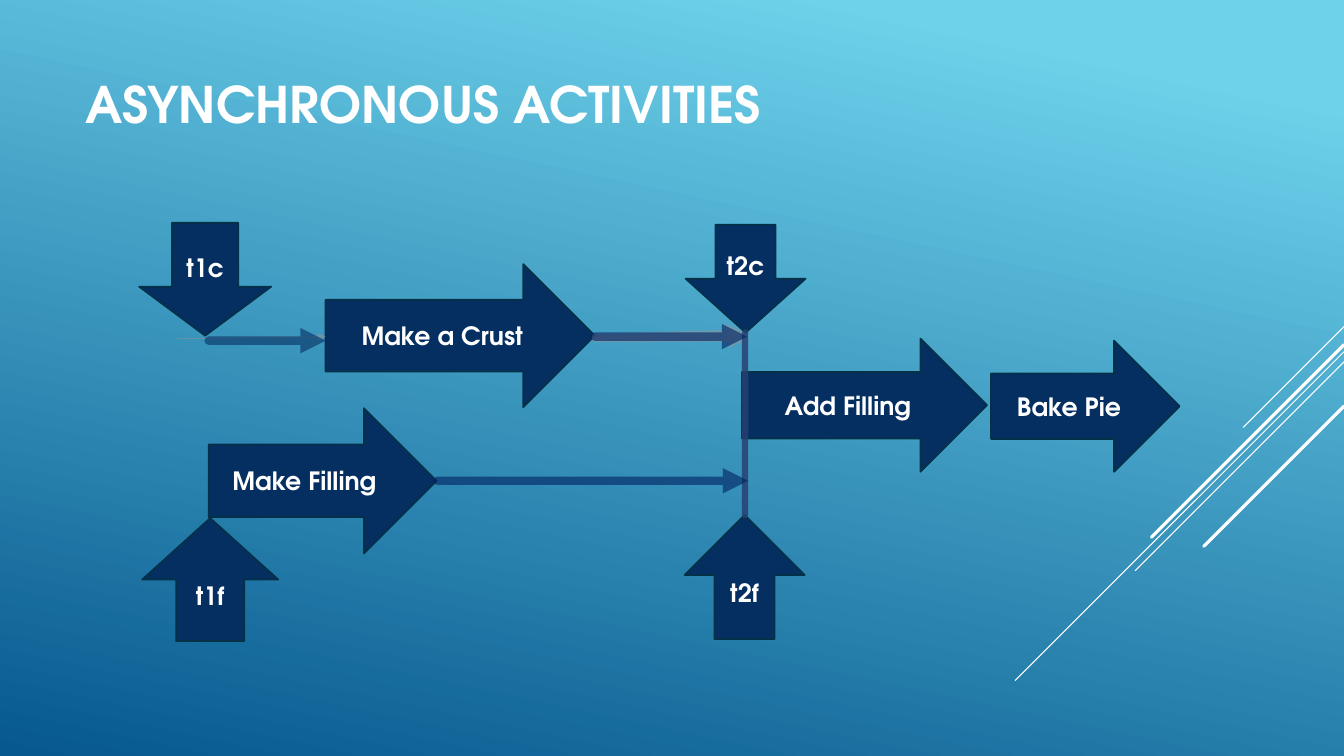
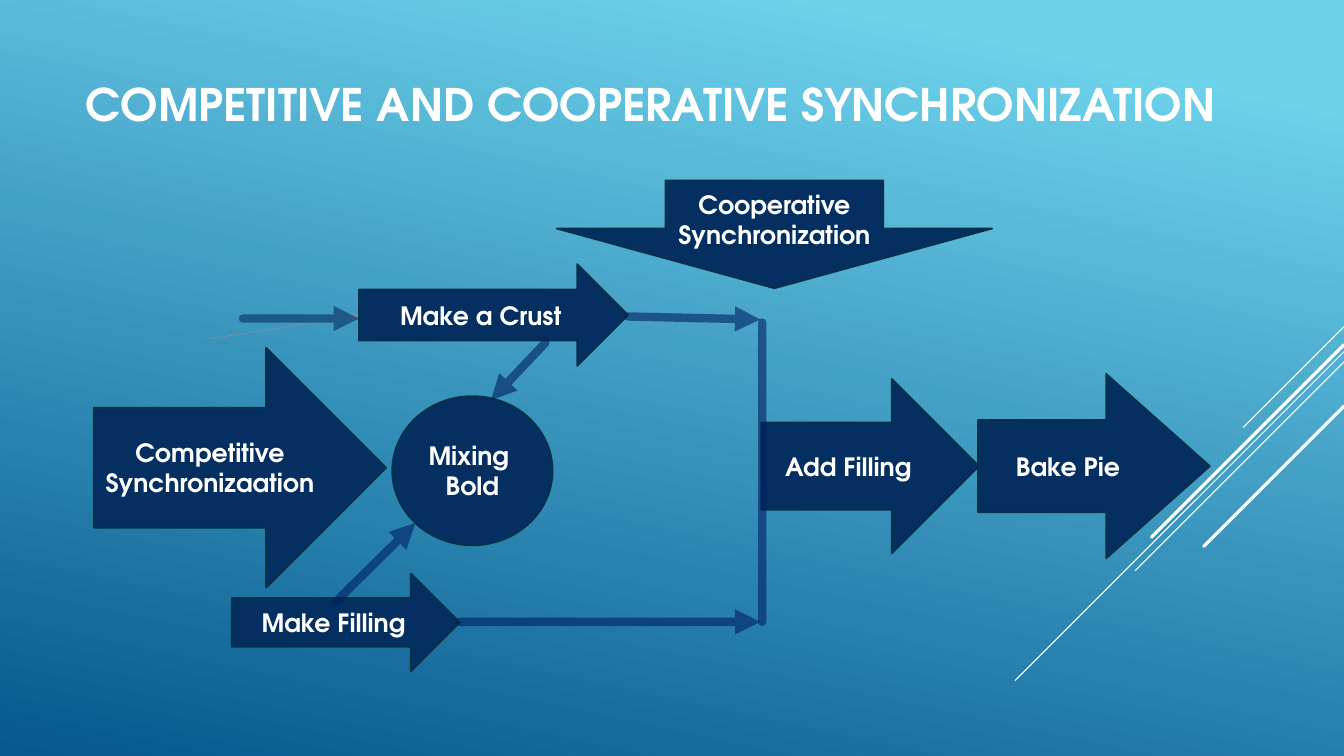
from collections import namedtuple

from pptx import Presentation
from pptx.dml.color import RGBColor
from pptx.enum.shapes import MSO_CONNECTOR, MSO_SHAPE
from pptx.enum.text import MSO_ANCHOR, PP_ALIGN
from pptx.oxml.ns import qn
from pptx.util import Inches, Pt
from lxml import etree

STRAIGHT = MSO_CONNECTOR.STRAIGHT
RIGHT, DOWN, UP = MSO_SHAPE.RIGHT_ARROW, MSO_SHAPE.DOWN_ARROW, MSO_SHAPE.UP_ARROW
OVAL, ROUNDED = MSO_SHAPE.OVAL, MSO_SHAPE.ROUNDED_RECTANGLE
MIDDLE = MSO_ANCHOR.MIDDLE
LEFT_ALIGN, CENTER = PP_ALIGN.LEFT, PP_ALIGN.CENTER

FONT = "TeX Gyre Adventor"
WHITE, NAVY, EDGE = "FFFFFF", "052F61", "043148"
INK, GREY = "002060", "89919C"
BACKDROP = [(0.1, "6ED2EB"), (1, "06588E")]
LINK_ALPHA = 60

Box = namedtuple("Box", "left top width height")
Step = namedtuple("Step", "kind box text head", defaults=("", None))
Link = namedtuple("Link", "start end color weight arrow", defaults=(INK, 6, True))

TITLE_BOX = Box(0.75, 0, 11.8, 2.06)
DIAGRAM_BOX = Box(0.5, 1.5, 12, 5.5)
CORNER_BOX = Box(10.07, 3.24, 3.26, 3.51)
CORNER_LINES = [(0, 1, 0.75), (0.25, 3.26, 0.75), (0.35, 2.07, 0.75),
                (0.18, 1.91, 2.25), (0.79, 1.39, 2.25)]

ASYNC_STEPS = [
    Step(DOWN, Box(0.88, 0.71, 1.31, 1.12), "t1c", 0.434),
    Step(UP, Box(0.91, 3.64, 1.35, 1.22), "t1f"),
    Step(RIGHT, Box(1.57, 2.55, 2.26, 1.44), "Make Filling"),
    Step(RIGHT, Box(2.73, 1.12, 2.67, 1.42), "Make a Crust"),
    Step(DOWN, Box(6.3, 0.73, 1.19, 1.07), "t2c"),
    Step(ROUNDED, Box(6.86, 2.67, 0.05, 0.05)),
    Step(UP, Box(6.29, 3.61, 1.19, 1.23), "t2f"),
    Step(RIGHT, Box(6.86, 1.86, 2.43, 1.32), "Add Filling"),
    Step(RIGHT, Box(9.33, 1.88, 1.87, 1.3), "Bake Pie"),
]
ASYNC_LINKS = [
    Link((1.26, 1.86), (2.73, 1.84), GREY, 0.75),
    Link((1.57, 1.88), (2.73, 1.88), NAVY),
    Link((5.4, 1.86), (6.92, 1.86), GREY, 4.5),
    Link((5.4, 1.84), (6.89, 1.8), GREY, 4.5),
    Link((6.89, 1.8), (6.89, 3.61), GREY, 4.5, False),
    Link((6.89, 1.8), (6.89, 3.61), INK, 4.5, False),
    Link((5.4, 1.84), (6.91, 1.84)),
    Link((3.84, 3.27), (6.92, 3.27)),
]
SYNC_STEPS = [
    Step(RIGHT, Box(1.8, 4.19, 2.26, 0.97), "Make Filling"),
    Step(RIGHT, Box(3.06, 1.12, 2.67, 1.01), "Make a Crust"),
    Step(DOWN, Box(5.02, 0.29, 4.32, 1.07), "Cooperative\nSynchronization", 0.554),
    Step(RIGHT, Box(7.05, 2.26, 2.16, 1.73), "Add Filling"),
    Step(RIGHT, Box(9.2, 2.21, 2.3, 1.83), "Bake Pie", 0.562),
    Step(OVAL, Box(3.39, 2.43, 1.59, 1.48), "Mixing \nBold"),
    Step(RIGHT, Box(0.43, 1.95, 2.9, 2.38), "Competitive\nSynchronizaation"),
]
SYNC_LINKS = [
    Link((1.59, 1.86), (3.06, 1.63), GREY, 0.75),
    Link((1.91, 1.66), (3.06, 1.66), NAVY),
    Link((2.83, 4.47), (3.62, 3.69)),
    Link((4.91, 1.9), (4.37, 2.47)),
    Link((5.73, 1.64), (7.04, 1.67)),
    Link((7.06, 1.7), (7.06, 4.67), arrow=False),
    Link((4.06, 4.67), (7.04, 4.67)),
]
SLIDES = [
    ("ASYNCHRONOUS ACTIVITIES", 36, ASYNC_STEPS, ASYNC_LINKS),
    ("COMPETITIVE AND COOPERATIVE SYNCHRONIZATION", 32, SYNC_STEPS, SYNC_LINKS),
]


def rgb(code):
    """Turn a hex string into a colour."""
    return RGBColor.from_string(code)


def inches(*lengths):
    """Convert several lengths at once."""
    return [Inches(length) for length in lengths]


def write(frame, text, size, align):
    """Fill a text frame with one bold white paragraph per line."""
    frame.word_wrap = True
    frame.vertical_anchor = MIDDLE
    formats = {"name": FONT, "size": Pt(size), "bold": True}
    for index, line in enumerate(text.split("\n")):
        para = frame.add_paragraph() if index else frame.paragraphs[0]
        para.alignment = align
        span = para.add_run()
        span.text = line
        for name, value in formats.items():
            setattr(span.font, name, value)
        span.font.color.rgb = rgb(WHITE)


def add_line(slide, box, link, alpha=100):
    """Draw a round-ended line whose ends are relative to the box."""
    ends = [edge + offset for point in (link.start, link.end)
            for edge, offset in zip((box.left, box.top), point)]
    connector = slide.shapes.add_connector(STRAIGHT, *inches(*ends))
    connector.line.color.rgb = rgb(link.color)
    connector.line.width = Pt(link.weight)
    properties = connector._element.spPr
    outline = properties.find(qn("a:ln"))
    outline.set("cap", "rnd")
    if alpha < 100:
        color = outline.find(qn("a:solidFill")).find(qn("a:srgbClr"))
        etree.SubElement(color, qn("a:alpha")).set("val", str(alpha * 1000))
    if link.arrow:
        etree.SubElement(outline, qn("a:tailEnd")).set("type", "triangle")
    etree.SubElement(properties, qn("a:effectLst"))


def add_step(slide, box, step):
    """Draw one labelled shape relative to the box."""
    shape = slide.shapes.add_shape(step.kind, *inches(
        box.left + step.box.left, box.top + step.box.top, step.box.width, step.box.height))
    shape.shadow.inherit = False
    shape.fill.solid()
    shape.fill.fore_color.rgb = rgb(NAVY)
    shape.line.color.rgb = rgb(EDGE)
    shape.line.width = Pt(1.25)
    if step.head:
        shape.adjustments[1] = step.head
    if step.text:
        write(shape.text_frame, step.text, 18, CENTER)


def paint_background(slide):
    """Give the slide its blue gradient."""
    fill = slide.background.fill
    fill.gradient()
    fill.gradient_angle = 258
    for stop, (position, code) in zip(fill.gradient_stops, BACKDROP):
        stop.position = position
        stop.color.rgb = rgb(code)


def add_corner(slide, box):
    """Draw the diagonal lines that run from the right edge of the box."""
    for drop, run, weight in CORNER_LINES:
        start, end = (box.width, drop), (box.width - run, drop + run)
        add_line(slide, box, Link(start, end, WHITE, weight, False))


def add_title(slide, box, text, size):
    """Place the slide title in the box."""
    title = slide.shapes.add_textbox(*inches(*box))
    write(title.text_frame, text, size, LEFT_ALIGN)


def add_diagram(slide, box, steps, links):
    """Place the steps and the links over them in the box."""
    for step in steps:
        add_step(slide, box, step)
    for link in links:
        add_line(slide, box, link, LINK_ALPHA)


def add_activity_slide(deck, title, size, steps, links):
    """Add one activity slide with its shared dressing."""
    slide = deck.slides.add_slide(deck.slide_layouts[6])
    paint_background(slide)
    add_corner(slide, CORNER_BOX)
    add_title(slide, TITLE_BOX, title, size)
    add_diagram(slide, DIAGRAM_BOX, steps, links)


def main():
    """Build and save the deck."""
    deck = Presentation()
    deck.slide_width, deck.slide_height = inches(13.33, 7.5)
    for content in SLIDES:
        add_activity_slide(deck, *content)
    deck.save("out.pptx")


if __name__ == "__main__":
    main()
